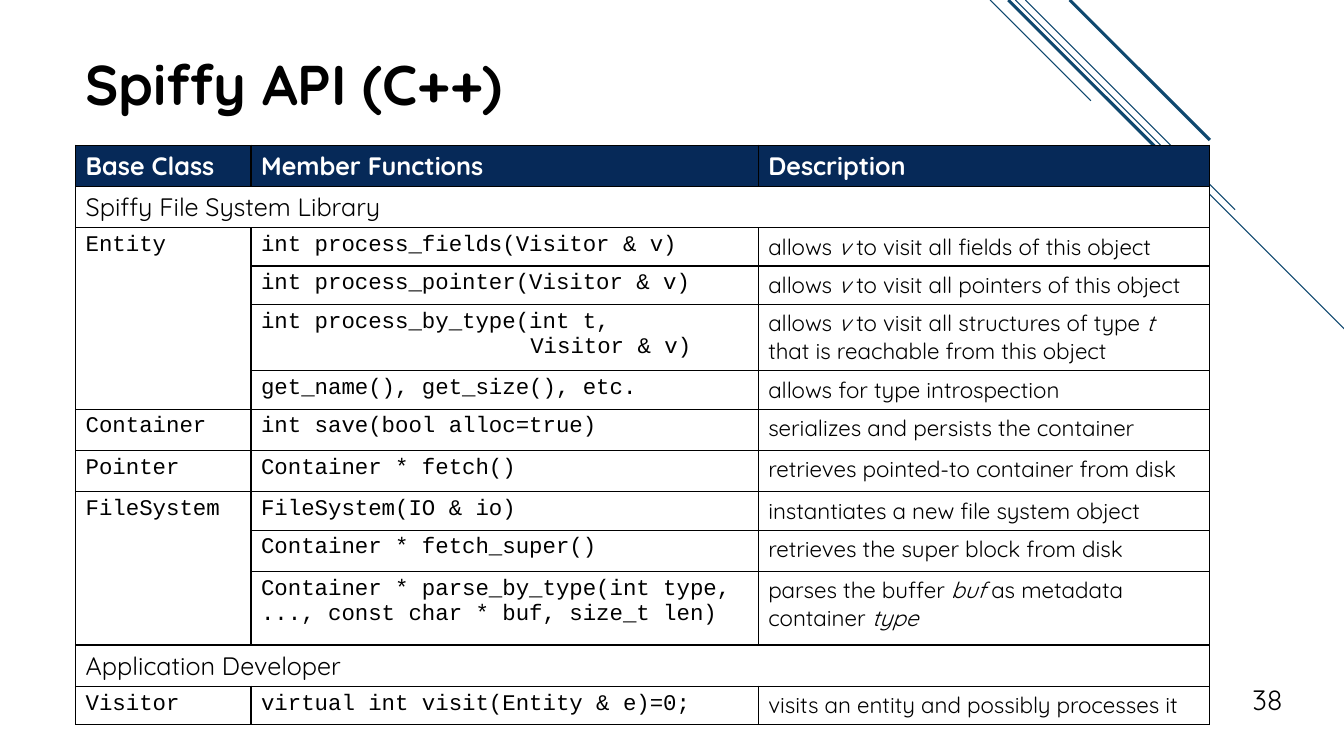
from dataclasses import dataclass

from lxml import etree
from pptx import Presentation
from pptx.dml.color import RGBColor
from pptx.enum.shapes import MSO_CONNECTOR
from pptx.enum.text import MSO_ANCHOR, PP_ALIGN
from pptx.oxml.ns import qn
from pptx.util import Inches, Pt

STRAIGHT = MSO_CONNECTOR.STRAIGHT
MIDDLE, BOTTOM = MSO_ANCHOR.MIDDLE, MSO_ANCHOR.BOTTOM
LEFT, RIGHT = PP_ALIGN.LEFT, PP_ALIGN.RIGHT

BLACK = RGBColor(0x00, 0x00, 0x00)
WHITE = RGBColor(0xFF, 0xFF, 0xFF)
NAVY = RGBColor(0x06, 0x29, 0x58)
STRIPE_BLUE = RGBColor(0x0F, 0x48, 0x6F)


@dataclass(frozen=True)
class Style:
    size: float
    font: str = "Quicksand"
    color: RGBColor = BLACK
    bold: bool = False


TITLE = Style(40, bold=True)
HEADER = Style(18, color=WHITE, bold=True)
SECTION = Style(18)
CODE = Style(16, font="Courier New")
PROSE = Style(16)
PAGE_NUMBER = Style(20)


@dataclass(frozen=True)
class Stripe:
    """A 45 degree line from the top edge, at start_x, down by drop."""
    start_x: float
    drop: float
    weight: float = 0.75


@dataclass(frozen=True)
class Member:
    """A function; asterisks in its description enclose italics."""
    code: tuple[str, ...]
    description: str
    height: float = 0.38
    continuation_indent: float = 0


@dataclass(frozen=True)
class BaseClass:
    name: str
    members: tuple[Member, ...]


@dataclass(frozen=True)
class Section:
    title: str
    classes: tuple[BaseClass, ...]


STRIPES = (
    Stripe(9.82, 1), Stripe(10.07, 3.27), Stripe(10.17, 2.08),
    Stripe(10, 1.91, 2.25), Stripe(10.61, 1.39, 2.25),
)
HEADINGS = ("Base Class", "Member Functions", "Description")
COLUMN_WIDTHS = (1.74, 5.03, 4.48)
BAND_HEIGHT = 0.41
SECTIONS = (
    Section("Spiffy File System Library", (
        BaseClass("Entity", (
            Member(("int process_fields(Visitor & v)",),
                   "allows *v* to visit all fields of this object"),
            Member(("int process_pointer(Visitor & v)",),
                   "allows *v* to visit all pointers of this object"),
            Member(("int process_by_type(int t,", "Visitor & v)"),
                   "allows *v* to visit all structures of type *t *"
                   "that is reachable from this object", 0.66, 2.67),
            Member(("get_name(), get_size(), etc.",),
                   "allows for type introspection"),
        )),
        BaseClass("Container", (
            Member(("int save(bool alloc=true)",),
                   "serializes and persists the container", 0.41),
        )),
        BaseClass("Pointer", (
            Member(("Container * fetch()",),
                   "retrieves pointed-to container from disk", 0.41),
        )),
        BaseClass("FileSystem", (
            Member(("FileSystem(IO & io)",),
                   "instantiates a new file system object"),
            Member(("Container * fetch_super()",),
                   "retrieves the super block from disk", 0.41),
            Member(("Container * parse_by_type(int type,",
                    "..., const char * buf, size_t len)"),
                   "parses the buffer *buf* as metadata container *type*", 0.73),
        )),
    )),
    Section("Application Developer", (
        BaseClass("Visitor", (
            Member(("virtual int visit(Entity & e)=0;",),
                   "visits an entity and possibly processes it"),
        )),
    )),
)


def add_run(paragraph, text: str, style: Style, italic: bool = False) -> None:
    run = paragraph.add_run()
    run.text = text
    run.font.name = style.font
    run.font.size = Pt(style.size)
    run.font.color.rgb = style.color
    run.font.bold = style.bold
    run.font.italic = italic


def add_label(slide, text: str, style: Style, box: tuple[float, ...],
              anchor: MSO_ANCHOR, align: PP_ALIGN) -> None:
    frame = slide.shapes.add_textbox(*map(Inches, box)).text_frame
    frame.word_wrap = True
    frame.vertical_anchor = anchor
    frame.paragraphs[0].alignment = align
    add_run(frame.paragraphs[0], text, style)


def add_stripe(slide, stripe: Stripe) -> None:
    line = slide.shapes.add_connector(
        STRAIGHT, Inches(stripe.start_x), 0,
        Inches(stripe.start_x + stripe.drop), Inches(stripe.drop))
    line.line.color.rgb = STRIPE_BLUE
    line.line.width = Pt(stripe.weight)
    etree.SubElement(line._element.spPr, qn("a:effectLst"))


def paint_cell(cell, fill: RGBColor) -> None:
    """Fill the cell and rule all four sides in black."""
    cell.fill.solid()
    cell.fill.fore_color.rgb = fill
    properties = cell._tc.get_or_add_tcPr()
    for position, side in enumerate(("a:lnL", "a:lnR", "a:lnT", "a:lnB")):
        border = etree.Element(qn(side), w=str(Pt(1)))
        solid = etree.SubElement(border, qn("a:solidFill"))
        etree.SubElement(solid, qn("a:srgbClr"), val=str(BLACK))
        properties.insert(position, border)


def write_member(table, row: int, member: Member) -> None:
    table.rows[row].height = Inches(member.height)
    code_frame = table.cell(row, 1).text_frame
    for index, code_line in enumerate(member.code):
        paragraph = code_frame.add_paragraph() if index else code_frame.paragraphs[0]
        add_run(paragraph, code_line, CODE)
        if index and member.continuation_indent:
            indent = Inches(member.continuation_indent)
            paragraph._p.get_or_add_pPr().set("marL", str(indent))
    description = table.cell(row, 2).text_frame.paragraphs[0]
    for index, part in enumerate(member.description.split("*")):
        if part:
            add_run(description, part, PROSE, italic=index % 2 == 1)


def add_api_table(slide) -> None:
    row_count = 1 + sum(1 + sum(len(base.members) for base in section.classes)
                        for section in SECTIONS)
    table = slide.shapes.add_table(
        row_count, len(HEADINGS), Inches(0.75), Inches(1.44),
        Inches(sum(COLUMN_WIDTHS)), Inches(row_count * BAND_HEIGHT)).table
    table.horz_banding = False
    for column, width in zip(table.columns, COLUMN_WIDTHS):
        column.width = Inches(width)
    for row in range(row_count):
        table.rows[row].height = Inches(BAND_HEIGHT)
        for cell in table.rows[row].cells:
            paint_cell(cell, WHITE if row else NAVY)
    for column, heading in enumerate(HEADINGS):
        add_run(table.cell(0, column).text_frame.paragraphs[0], heading, HEADER)

    row = 1
    for section in SECTIONS:
        band = table.cell(row, 0)
        band.merge(table.cell(row, len(HEADINGS) - 1))
        add_run(band.text_frame.paragraphs[0], section.title, SECTION)
        row += 1
        for base in section.classes:
            name_cell = table.cell(row, 0)
            if len(base.members) > 1:
                name_cell.merge(table.cell(row + len(base.members) - 1, 0))
            add_run(name_cell.text_frame.paragraphs[0], base.name, CODE)
            for member in base.members:
                write_member(table, row, member)
                row += 1


def main() -> None:
    deck = Presentation()
    deck.slide_width, deck.slide_height = Inches(13.33), Inches(7.5)
    slide = deck.slides.add_slide(deck.slide_layouts[6])
    for stripe in STRIPES:
        add_stripe(slide, stripe)
    add_label(slide, "Spiffy API (C++)", TITLE, (0.75, 0, 11.25, 1.65), MIDDLE, LEFT)
    add_api_table(slide)
    add_label(slide, "38", PAGE_NUMBER, (12, 6.62, 0.82, 0.53), BOTTOM, RIGHT)
    deck.save("out.pptx")


if __name__ == "__main__":
    main()
